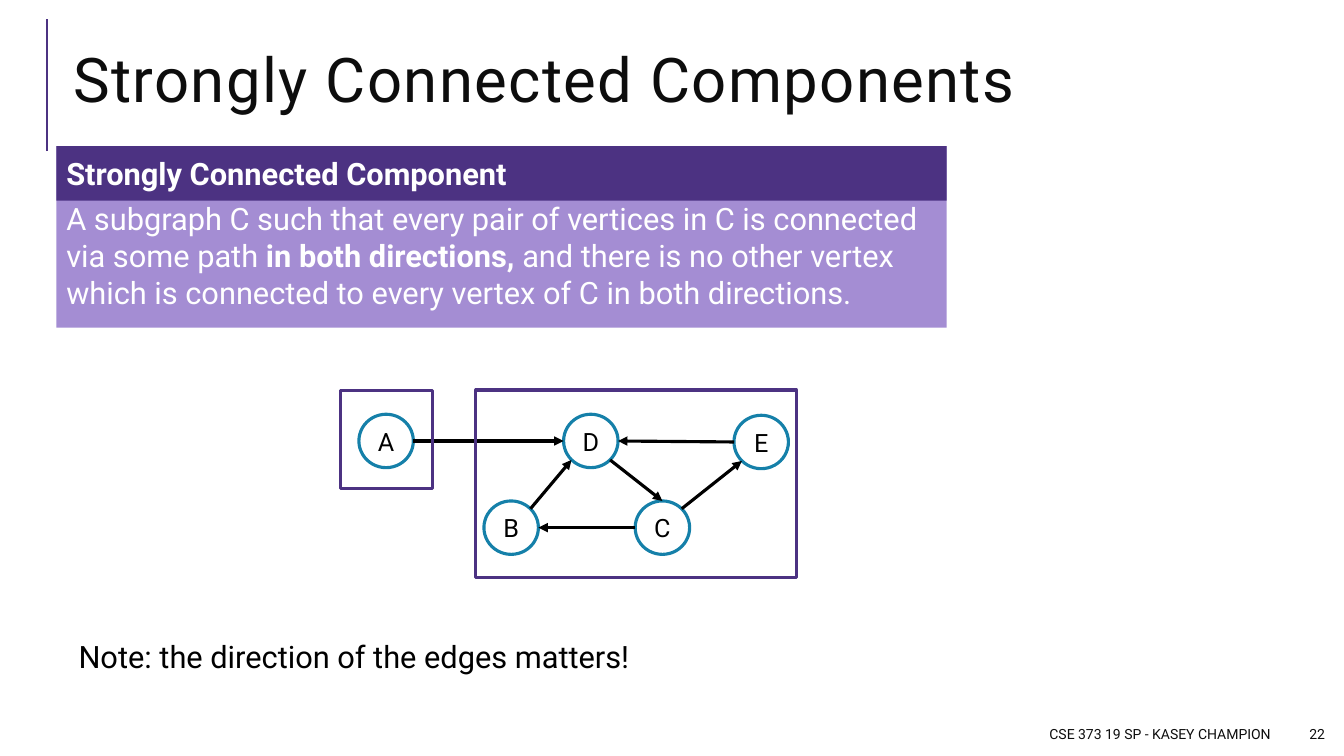
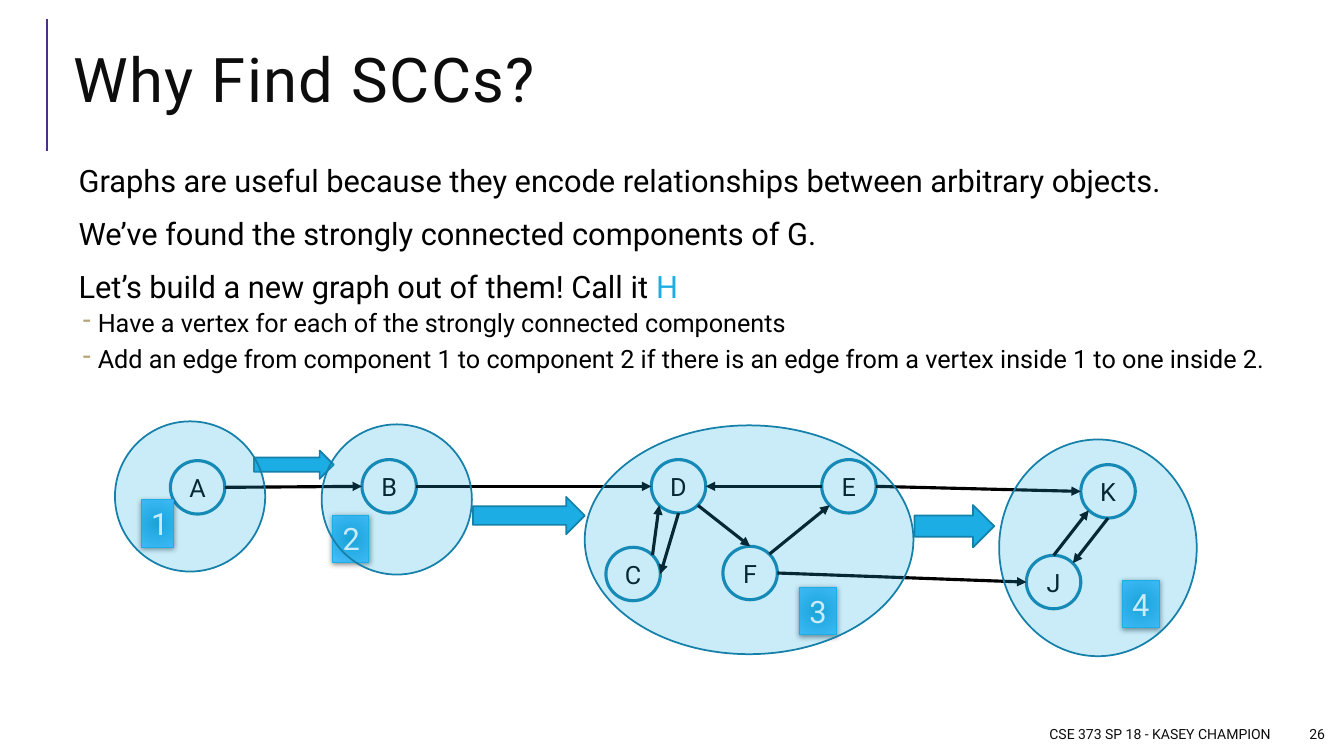
import pptx
import pptx.util
import pptx.dml.color
import pptx.enum.shapes
import pptx.enum.text
import pptx.oxml
import pptx.oxml.ns

# Shared look
PX = 9144  # EMU per px, 100 px to the inch
FONT = "Roboto"
INK, BLACK, WHITE = "0D0D0D", "000000", "FFFFFF"
PURPLE, LILAC = "4C3282", "A48DD3"
BLUE, TEAL, TAN = "1CADE4", "1580A9", "B6A479"
NODE = (54, 53)
DIAG = 0.71
SITES = {"n": (0, -1), "s": (0, 1), "e": (1, 0), "w": (-1, 0),
         "ne": (DIAG, -DIAG), "se": (DIAG, DIAG), "sw": (-DIAG, DIAG)}
KIND = pptx.enum.shapes.MSO_SHAPE
ALIGN = pptx.enum.text.PP_ALIGN
ANCHOR = pptx.enum.text.MSO_ANCHOR
NS = pptx.oxml.ns.nsdecls("a")

# Slide 1: definition, graph and note
TERM = "Strongly Connected Component"
MEANING = [
    ("A subgraph C such that every pair of vertices in C is connected via some path ", {}),
    ("in both directions, ", {"bold": True}),
    ("and there is no other vertex which is connected to every vertex of C in both directions.", {}),
]
NOTE = [(0, [("Note: the direction of the edges matters!", {})])]
NODES1 = {"D": (559, 411), "B": (480, 497), "C": (630, 497),
          "A": (356, 411), "E": (728, 412)}
EDGES1 = ["B ne D sw", "D se C n", "C w B e", "A e D w", "C ne E sw", "E w D e"]
FRAMES = [(472, 387, 318, 186), (338, 387, 91, 98)]

# Slide 2: points, graph and its components
POINTS = [
    (0, [("Graphs are useful because they encode relationships between arbitrary objects.", {})]),
    (0, [("We’ve found the strongly connected components of G.", {})]),
    (0, [("Let’s build a new graph out of them! Call it ", {}), ("H", {"color": BLUE})]),
    (1, [("Have a vertex for each of the strongly connected components", {})]),
    (1, [("Add an edge from component 1 to component 2 if there is an edge "
          "from a vertex inside 1 to one inside 2.", {})]),
]
NODES2 = {"D": (646, 456), "C": (601, 543), "F": (717, 542), "B": (359, 456),
          "E": (815, 456), "A": (169, 457), "K": (1072, 461), "J": (1018, 551)}
EDGES2 = ["C ne D sw", "D se F n", "D s C e", "B e D w", "F ne E sw", "E w D e",
          "A e B w", "E e K w", "F e J w", "K s J ne", "J n K sw"]
ARROWS = [(252, 447, 79, 28), (469, 493, 111, 37), (907, 501, 79, 42)]
BADGES = {"1": (140, 496, 32, 47), "3": (793, 583, 37, 47),
          "4": (1113, 576, 37, 47), "2": (330, 511, 36, 47)}
GROUPS = [(114, 418, 149, 149), (319, 421, 149, 149),
          (580, 422, 326, 227), (991, 436, 196, 215)]


def emu(*sizes):
    return [round(size * PX) for size in sizes]


def paint(color, value):
    color.rgb = pptx.dml.color.RGBColor.from_string(value)


def xml(text):
    return pptx.oxml.parse_xml(text.replace(">", f" {NS}>", 1))


def style(run, size, color, bold=False):
    run.font.name = FONT
    run.font.size = pptx.util.Pt(size)
    run.font.bold = bold
    paint(run.font.color, color)


def setup(item, pads=(10, 5, 10, 5), anchor=ANCHOR.MIDDLE, wrap=True):
    frame = item.text_frame
    frame.word_wrap = wrap
    frame.vertical_anchor = anchor
    (frame.margin_left, frame.margin_top,
     frame.margin_right, frame.margin_bottom) = emu(*pads)
    return frame


def write(item, text, size, color, align=ALIGN.LEFT, bold=False, **opts):
    para = setup(item, **opts).paragraphs[0]
    para.text = text
    para.alignment = align
    style(para.runs[0], size, color, bold)
    return para


def fill_runs(para, runs, size, color):
    for text, look in runs:
        run = para.add_run()
        run.text = text
        style(run, size, **{"color": color, **look})


def box(slide, area):
    return slide.shapes.add_textbox(*emu(*area))


def shape(slide, kind, area, fill=None, line=None, width=1.25):
    item = slide.shapes.add_shape(kind, *emu(*area))
    item.shadow.inherit = False
    if fill:
        item.fill.solid()
        paint(item.fill.fore_color, fill)
    else:
        item.fill.background()
    if line:
        paint(item.line.color, line)
        item.line.width = pptx.util.Pt(width)
    else:
        item.line.fill.background()
    return item


def rule(slide, start, end, color, width, head=False):
    item = slide.shapes.add_connector(
        pptx.enum.shapes.MSO_CONNECTOR.STRAIGHT, *emu(*start, *end))
    paint(item.line.color, color)
    item.line.width = pptx.util.Pt(width)
    if head:
        item.line._get_or_add_ln().append(xml('<a:tailEnd type="triangle"></a:tailEnd>'))
    item._element.spPr.append(xml("<a:effectLst></a:effectLst>"))


def start(deck, title, footer, number):
    slide = deck.slides.add_slide(deck.slide_layouts[6])
    rule(slide, (47, 150), (47, 19), PURPLE, 1.5)
    para = write(box(slide, (63, 29, 1223, 111)), title, 44, INK)
    para.line_spacing = 0.8
    para.runs[0].font._element.set("spc", "100")
    for area, text in [((625, 713, 645, 30), footer), ((1278, 713, 46, 30), number)]:
        write(box(slide, area), text, 10, INK, ALIGN.RIGHT)
    return slide


def body(slide, area, points):
    frame = setup(box(slide, area), (5, 5, 5, 5), ANCHOR.TOP)
    for i, (level, runs) in enumerate(points):
        para = frame.paragraphs[0] if i == 0 else frame.add_paragraph()
        left, hang, size, before, after = [(10, 0, 22, 12, 2), (29, -15, 18, 2, 4)][level]
        para.line_spacing = 0.9
        para.space_before = pptx.util.Pt(before if i else 0)
        para.space_after = pptx.util.Pt(after)
        props = para._p.get_or_add_pPr()
        props.set("marL", str(left * PX))
        props.set("indent", str(hang * PX))
        if level:
            props.append(xml(f'<a:buClr><a:srgbClr val="{TAN}"/></a:buClr>'))
            props.append(xml('<a:buChar char="-"></a:buChar>'))
        fill_runs(para, runs, size, BLACK)


def graph(slide, nodes, edges):
    for name, spot in nodes.items():
        item = shape(slide, KIND.OVAL, spot + NODE, WHITE, TEAL, 2.25)
        write(item, name, 18, BLACK, ALIGN.CENTER, pads=(0, 0, 0, 0), wrap=False)

    def port(name, side):
        return [at + span / 2 * (1 + way)
                for at, span, way in zip(nodes[name], NODE, SITES[side])]

    for edge in edges:
        tail, out, head, into = edge.split()
        rule(slide, port(tail, out), port(head, into), BLACK, 2.25, True)


def badge(slide, text, area):
    item = shape(slide, KIND.RECTANGLE, area, BLUE, BLUE, 0.75)
    props = item._element.spPr
    flat = props.find(pptx.oxml.ns.qn("a:solidFill"))
    props.replace(flat, xml(
        '<a:gradFill><a:gsLst><a:gs pos="0"><a:srgbClr val="1AA1D4"/></a:gs>'
        '<a:gs pos="100000"><a:srgbClr val="48BFFF"/></a:gs></a:gsLst>'
        '<a:path path="circle"><a:fillToRect l="100000" t="100000" r="100000" b="100000"/>'
        '</a:path></a:gradFill>'))
    props.find(pptx.oxml.ns.qn("a:effectLst")).append(xml(
        '<a:outerShdw blurRad="50800" dist="12700" dir="5400000"><a:srgbClr val="000000">'
        '<a:alpha val="50000"/></a:srgbClr></a:outerShdw>'))
    write(item, text, 22, WHITE, anchor=ANCHOR.TOP, wrap=False)


def define(deck):
    slide = start(deck, "Strongly Connected Components",
                  "CSE 373 19 SP - KASEY CHAMPION", "22")
    body(slide, (63, 632, 1223, 82), NOTE)
    panel = shape(slide, KIND.RECTANGLE, (56, 145, 883, 180), LILAC)
    para = setup(panel, (10, 41, 10, 5)).paragraphs[0]
    para.alignment = ALIGN.LEFT
    fill_runs(para, MEANING, 22, WHITE)
    band = shape(slide, KIND.RECTANGLE, (56, 145, 883, 54), PURPLE)
    write(band, TERM, 22, WHITE, bold=True)
    graph(slide, NODES1, EDGES1)
    for area in FRAMES:
        shape(slide, KIND.RECTANGLE, area, None, PURPLE, 2.25)


def explain(deck):
    slide = start(deck, "Why Find SCCs?", "CSE 373 SP 18 - KASEY CHAMPION", "26")
    body(slide, (63, 160, 1223, 233), POINTS)
    graph(slide, NODES2, EDGES2)
    for area in ARROWS:
        shape(slide, KIND.RIGHT_ARROW, area, BLUE, TEAL)
    for text, area in BADGES.items():
        badge(slide, text, area)
    # Translucent groups lie over the graph
    for area in GROUPS:
        item = shape(slide, KIND.OVAL, area, BLUE, TEAL)
        tint = item._element.spPr.find(pptx.oxml.ns.qn("a:solidFill"))[0]
        tint.append(xml('<a:alpha val="23000"></a:alpha>'))


def main():
    deck = pptx.Presentation()
    deck.slide_width, deck.slide_height = emu(1333, 750)
    define(deck)
    explain(deck)
    deck.save("out.pptx")


if __name__ == "__main__":
    main()
